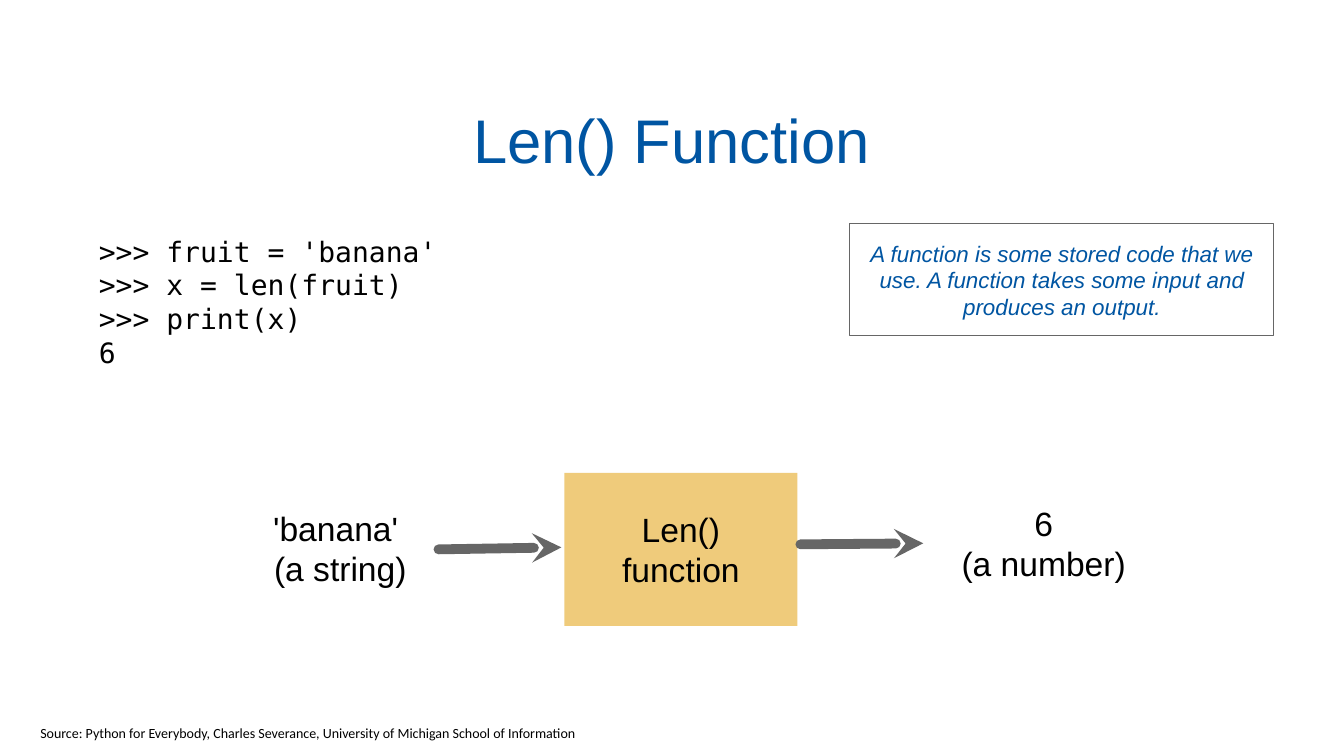
from lxml import etree
from pptx import Presentation
from pptx import util as u
from pptx.dml import color
from pptx.enum import shapes, text
from pptx.oxml import ns

BLUE, GREY, GOLD, BLACK = "0055A2", "666666", "EFCB7B", "000000"


def rgb(code):
    return color.RGBColor.from_string(code)


class Deck:
    def __init__(self, width, height):
        self.prs = Presentation()
        self.prs.slide_width, self.prs.slide_height = u.Pt(width), u.Pt(height)
        self.slide = self.prs.slides.add_slide(self.prs.slide_layouts[5])
        self.font = {"name": "Arial", "size": u.Pt(24), "italic": False}

    def letter(self, shape, lines, ink=BLACK, align="CENTER", inset=0,
               wrap=True, **style):
        frame = shape.text_frame
        frame.text = "\n".join(lines)
        form = {"word_wrap": wrap, "auto_size": text.MSO_AUTO_SIZE.NONE,
                "vertical_anchor": text.MSO_ANCHOR.MIDDLE}
        form.update({f"margin_{side}": u.Pt(inset)
                     for side in ("left", "top", "right", "bottom")})
        for key, val in form.items():
            setattr(frame, key, val)
        for para in frame.paragraphs:
            para.alignment = text.PP_ALIGN[align]
            for run in para.runs:
                for key, val in {**self.font, **style}.items():
                    setattr(run.font, key, val)
                run.font.color.rgb = rgb(ink)

    def title(self, words, box, **style):
        shape = self.slide.shapes.title
        for key, val in zip(("left", "top", "width", "height"), box):
            setattr(shape, key, u.Pt(val))
        self.letter(shape, [words], **style)

    def label(self, lines, box, **style):
        self.letter(self.slide.shapes.add_textbox(*map(u.Pt, box)), lines, **style)

    def block(self, lines, box, fill=None, edge=None, **style):
        shape = self.slide.shapes.add_shape(
            shapes.MSO_SHAPE.RECTANGLE, *map(u.Pt, box))
        shape.shadow.inherit = False
        if fill:
            shape.fill.solid()
            shape.fill.fore_color.rgb = rgb(fill)
        else:
            shape.fill.background()
        if edge:
            shape.line.color.rgb = rgb(edge)
            shape.line.width = u.Pt(0.75)
        else:
            shape.line.fill.background()
        self.letter(shape, lines, **style)

    def arrow(self, *ends):
        link = self.slide.shapes.add_connector(
            shapes.MSO_CONNECTOR.STRAIGHT, *map(u.Pt, ends))
        link.line.color.rgb = rgb(GREY)
        link.line.width = u.Pt(7)
        line = link._element.spPr.find(ns.qn("a:ln"))
        line.set("cap", "rnd")
        etree.SubElement(line, ns.qn("a:round"))
        etree.SubElement(line, ns.qn("a:tailEnd"), type="stealth")
        etree.SubElement(link._element.spPr, ns.qn("a:effectLst"))


def main():
    deck = Deck(960, 540)

    # Heading
    deck.title("Len() Function", (68.4, 49, 823, 100.8), ink=BLUE, inset=2,
               size=u.Pt(44))

    # Code and definition
    deck.label([">>> fruit = 'banana'", ">>> x = len(fruit)", ">>> print(x)", "6"],
               (70.6, 149.8, 333.4, 131), align="LEFT",
               name="DejaVu Sans Mono", size=u.Pt(20))
    deck.block(["A function is some stored code that we use. "
                "A function takes some input and produces an output."],
               (607, 160, 303, 80), edge=GREY, ink=BLUE,
               size=u.Pt(16), italic=True)

    # Input, function, output
    deck.block(["Len()", "function"], (403.2, 337.7, 166.3, 109.4), fill=GOLD)
    deck.label(["'banana' ", "(a string)"], (189.4, 358.6, 107.3, 65.5))
    deck.label(["6", "(a number)"], (676, 354.2, 139, 67.7))
    deck.arrow(313.2, 392.4, 401, 391)
    deck.arrow(571.7, 388.8, 659.5, 388.1)

    # Source line
    deck.label(["Source: Python for Everybody, Charles Severance, "
                "University of Michigan School of Information"],
               (28.8, 514, 382, 19.4), align="LEFT", wrap=False,
               name="Calibri", size=u.Pt(10))

    deck.prs.save("out.pptx")


if __name__ == "__main__":
    main()
